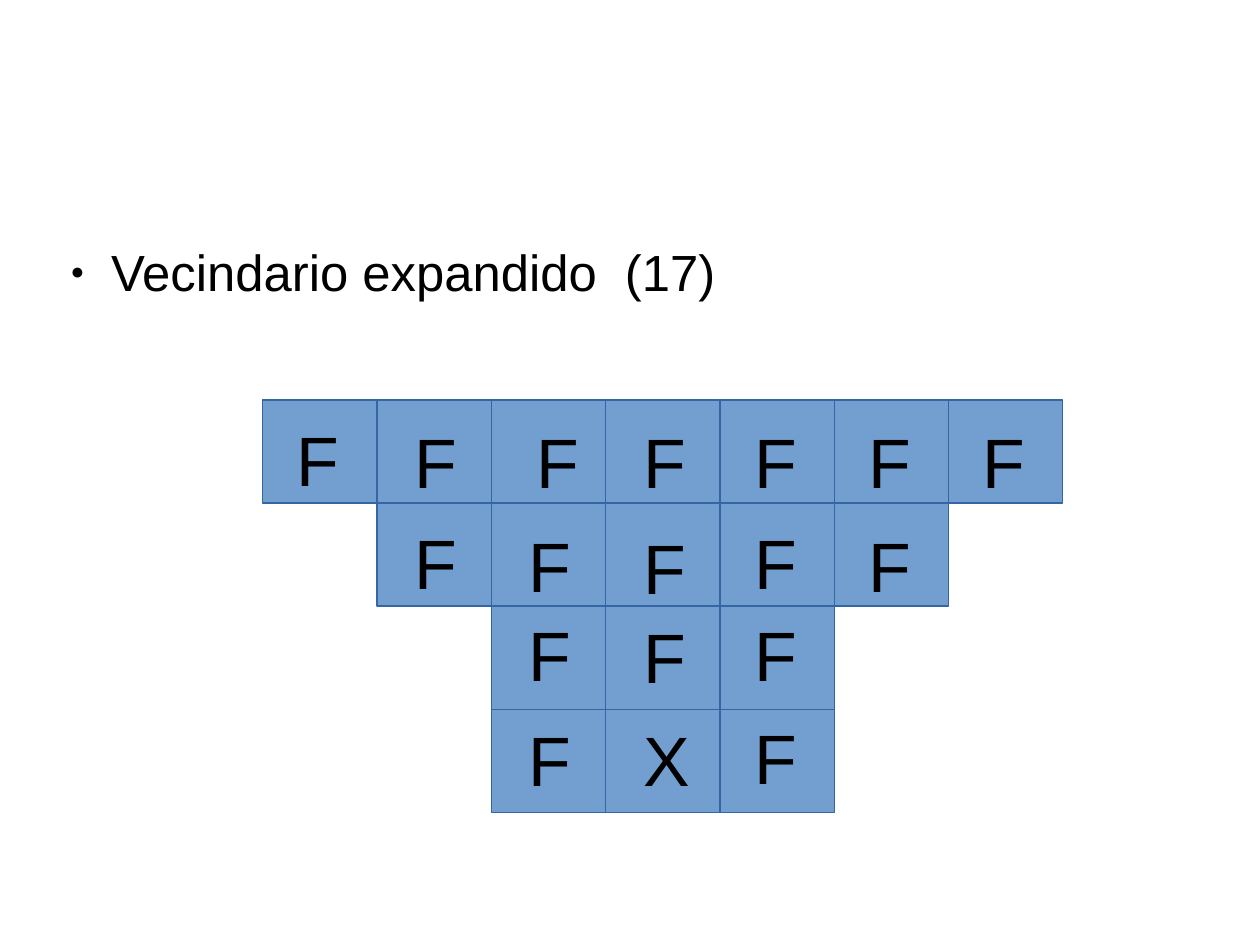
from lxml.etree import SubElement as Sub
from pptx import Presentation
from pptx.dml.color import RGBColor as RGB
from pptx.enum.shapes import MSO_SHAPE as Shape
from pptx.enum.text import MSO_AUTO_SIZE as Fit
from pptx.oxml.ns import qn
from pptx.util import Cm, Pt

LEFT, TOP, WIDE, HIGH = 5.84, 8.89, 2.54, 2.29
BLACK, BLUE, EDGE = "000000", "729FCF", "3465A4"

# Letter inset from the left side of each column's cell, in cm
INSETS = [0.51, 0.58, 0.58, 0.58, 0.51, 0.51, 0.51]

# For each row: first column, letters, letter drops from the cell top in cm
ROWS = [
    (0, "FFFFFFF", [0.25, 0.3, 0.3, 0.3, 0.3, 0.3, 0.3]),
    (1, "FFFFF", [0.25, 0.3, 0.36, 0.25, 0.3]),
    (2, "FFF", [0, 0.05, 0]),
    (2, "FXF", [0.05, 0.05, 0]),
]
NUDGES = {(0, 2): 0.18}


def color(code):
    return RGB.from_string(code)


def style(font, size):
    font.name = "Arial"
    font.size = Pt(size)
    font.color.rgb = color(BLACK)


def add_bullet(para):
    props = para._p.get_or_add_pPr()
    props.set("marL", str(Cm(1.2)))
    props.set("indent", str(-Cm(0.9)))
    tint = Sub(props, qn("a:buClr"))
    Sub(tint, qn("a:srgbClr"), val=BLACK)
    Sub(props, qn("a:buSzPct"), val="45000")
    Sub(props, qn("a:buFont"), typeface="Arial")
    Sub(props, qn("a:buChar"), char="●")


def add_body(slide, text):
    box = slide.shapes.add_textbox(Cm(1.27), Cm(5.36), Cm(25.2), Cm(12.17))
    frame = box.text_frame
    frame.word_wrap = True
    frame.margin_left = frame.margin_right = 0
    frame.margin_top = frame.margin_bottom = 0
    frame.text = text
    para = frame.paragraphs[0]
    add_bullet(para)
    para.space_after = Pt(14.2)
    style(para.runs[0].font, 32)


def add_cell(group, left, top):
    cell = group.shapes.add_shape(
        Shape.RECTANGLE, Cm(left), Cm(top), Cm(WIDE), Cm(HIGH))
    cell.shadow.inherit = False
    cell.fill.solid()
    cell.fill.fore_color.rgb = color(BLUE)
    cell.line.color.rgb = color(EDGE)
    cell.line.width = Pt(0)


def add_letter(group, left, top, text):
    box = group.shapes.add_textbox(Cm(left), Cm(top), Cm(1.45), Cm(1.98))
    frame = box.text_frame
    frame.word_wrap = True
    frame.auto_size = Fit.SHAPE_TO_FIT_TEXT
    frame.text = text
    style(frame.paragraphs[0].runs[0].font, 44)


def add_grid(slide):
    group = slide.shapes.add_group_shape()
    for row, (first, letters, drops) in enumerate(ROWS):
        top = TOP + row * HIGH
        for col, (letter, drop) in enumerate(zip(letters, drops), first):
            left = LEFT + col * WIDE
            inset = INSETS[col] + NUDGES.get((row, col), 0)
            add_cell(group, left, top)
            add_letter(group, left + inset, top + drop, letter)


def main():
    deck = Presentation()
    deck.slide_width, deck.slide_height = Cm(28), Cm(21)
    slide = deck.slides.add_slide(deck.slide_layouts[6])
    add_body(slide, "Vecindario expandido  (17)")
    add_grid(slide)
    deck.save("out.pptx")


if __name__ == "__main__":
    main()
